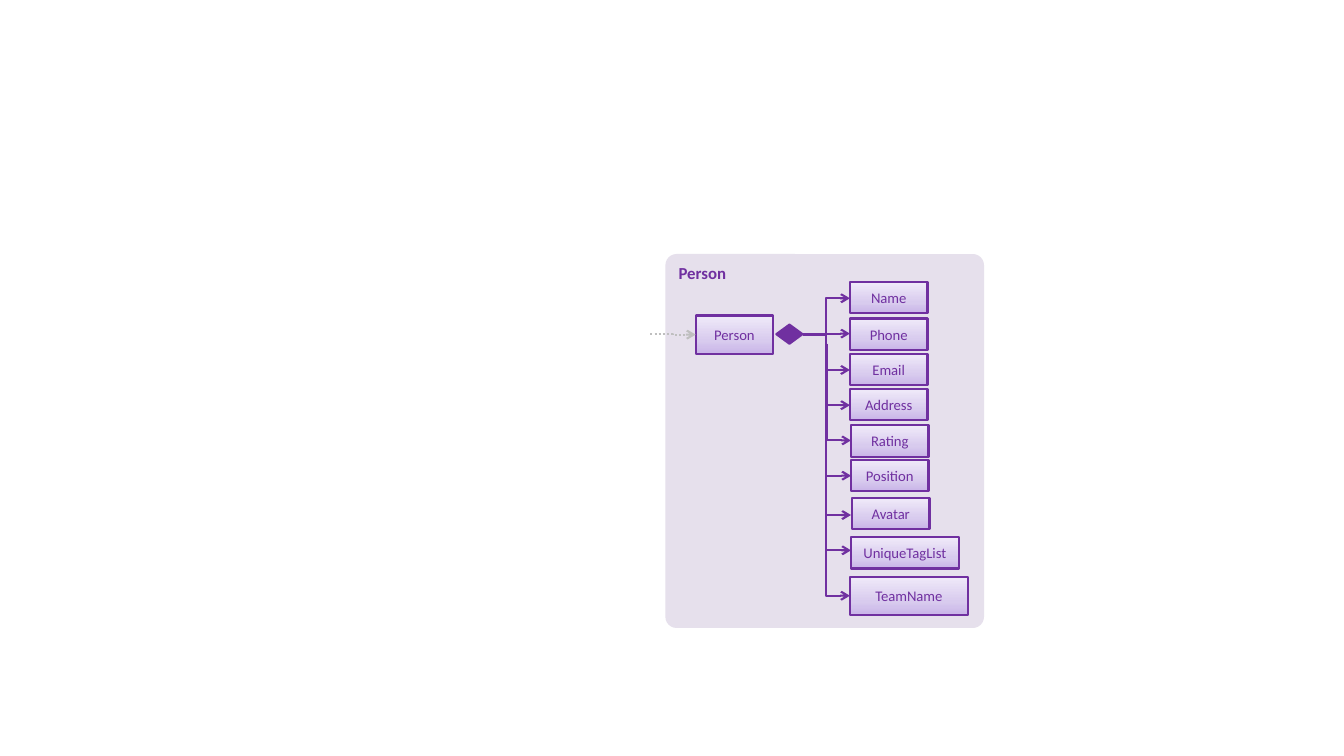
"""Build the class diagram of Person and its attributes."""
from copy import deepcopy
from dataclasses import dataclass

from pptx import Presentation
from pptx.dml.color import RGBColor
from pptx.enum.dml import MSO_LINE
from pptx.enum.shapes import MSO_CONNECTOR as CONN, MSO_SHAPE as SHAPE
from pptx.enum.text import MSO_ANCHOR as ANCHOR, PP_ALIGN as ALIGN
from pptx.oxml.ns import qn
from pptx.shapes.autoshape import Shape
from pptx.shapes.connector import Connector
from pptx.slide import Slide
from pptx.util import Inches, Pt

PURPLE, GREY, PANEL = "7030A0", "BFBFBF", "E6E0EC"
GRADIENT = [(0, "C9B5E8"), (0.35, "D8CBEE"), (1, "F0EAF9")]
HUB_X, HUB_Y = 7.96, 3.32


@dataclass
class Box:
    text: str
    x: float
    y: float
    w: float = 0.77
    h: float = 0.31


@dataclass
class Arrow:
    x1: float
    y1: float
    x2: float
    y2: float
    corner: bool = False
    color: str = PURPLE


PERSON = Box("Person", 6.9, 3.13, h=0.38)
ATTRIBUTES = [
    Box("Name", 8.43, 2.8),
    Box("Phone", 8.43, 3.16),
    Box("Email", 8.43, 3.51),
    Box("Address", 8.43, 3.86),
    Box("Rating", 8.44, 4.22),
    Box("Position", 8.44, 4.56),
    Box("Avatar", 8.45, 4.94),
    Box("TeamName", 8.43, 5.72, 1.17, 0.38),
    Box("UniqueTagList", 8.44, 5.33, 1.07),
]
ARROWS = [Arrow(6.45, 3.31, 6.9, 3.32, color=GREY)]
ARROWS += [Arrow(HUB_X, HUB_Y, 8.43, y) for y in (2.96, 3.31, 3.67, 4.02)]
ARROWS += [
    Arrow(8.2, 3.41, 8.44, 4.37, True),
    Arrow(8.19, 3.76, 8.44, 4.72, True),
    Arrow(8.19, 4.15, 8.44, 5.11, True),
    Arrow(8.19, 4.66, 8.43, 5.91, True),
    Arrow(8.19, 4.5, 8.44, 5.46, True),
]


def rgb(color: str) -> RGBColor:
    return RGBColor.from_string(color)


def add_shape(s: Slide, kind: SHAPE, box: Box) -> Shape:
    sp = s.shapes.add_shape(kind, Inches(box.x), Inches(box.y), Inches(box.w), Inches(box.h))
    sp.shadow.inherit = False
    return sp


def outline(sp: Shape | Connector, color: str) -> None:
    sp.line.color.rgb = rgb(color)
    sp.line.width = Pt(1.5)


def write(sp: Shape, text: str, size: float, bold: bool, align: ALIGN, anchor: ANCHOR) -> None:
    tf = sp.text_frame
    tf.word_wrap = True
    tf.vertical_anchor = anchor
    p = tf.paragraphs[0]
    p.alignment = align
    r = p.add_run()
    r.text = text
    r.font.name = "Calibri"
    r.font.size = Pt(size)
    r.font.bold = bold
    r.font.color.rgb = rgb(PURPLE)


def add_panel(s: Slide) -> None:
    sp = add_shape(s, SHAPE.ROUNDED_RECTANGLE, Box("Person", 6.6, 2.52, 3.16, 3.71))
    sp.adjustments[0] = 0.035
    sp.fill.solid()
    sp.fill.fore_color.rgb = rgb(PANEL)
    sp.line.fill.background()
    write(sp, "Person", 12, True, ALIGN.LEFT, ANCHOR.TOP)


def add_box(s: Slide, box: Box) -> None:
    sp = add_shape(s, SHAPE.RECTANGLE, box)
    sp.fill.gradient()
    sp.fill.gradient_angle = 90
    stops = sp.element.spPr.find(qn("a:gradFill")).find(qn("a:gsLst"))
    stops.append(deepcopy(stops[0]))
    for stop, (position, color) in zip(sp.fill.gradient_stops, GRADIENT):
        stop.position = position
        stop.color.rgb = rgb(color)
    outline(sp, PURPLE)
    write(sp, box.text, 10.5, False, ALIGN.CENTER, ANCHOR.MIDDLE)


def add_diamond(s: Slide) -> None:
    sp = add_shape(s, SHAPE.FLOWCHART_DECISION, Box("", 7.7, 3.22, 0.26, 0.19))
    sp.fill.solid()
    sp.fill.fore_color.rgb = rgb(PURPLE)
    outline(sp, PURPLE)


def add_arrow(s: Slide, a: Arrow) -> None:
    x1, y1, x2, y2 = a.x1, a.y1, a.x2, a.y2
    if a.corner:
        cx, cy = (x1 + x2) / 2, (y1 + y2) / 2
        half_w, half_h = (y2 - y1) / 2, (x2 - x1) / 2
        x1, y1, x2, y2 = cx + half_w, cy - half_h, cx - half_w, cy + half_h
    cn = s.shapes.add_connector(CONN.ELBOW, Inches(x1), Inches(y1), Inches(x2), Inches(y2))
    spPr = cn.element.spPr
    if a.corner:
        spPr.find(qn("a:xfrm")).set("rot", "16200000")
        spPr.find(qn("a:prstGeom")).set("prst", "bentConnector2")
    outline(cn, a.color)
    if a.color == GREY:
        cn.line.dash_style = MSO_LINE.ROUND_DOT
    ln = spPr.find(qn("a:ln"))
    ln.append(ln.makeelement(qn("a:tailEnd"), {"type": "arrow"}))
    spPr.append(spPr.makeelement(qn("a:effectLst"), {}))


def main() -> None:
    prs = Presentation()
    prs.slide_width, prs.slide_height = Inches(13.33), Inches(7.5)
    s = prs.slides.add_slide(prs.slide_layouts[6])
    add_panel(s)
    for box in [PERSON, *ATTRIBUTES]:
        add_box(s, box)
    add_diamond(s)
    for arrow in ARROWS:
        add_arrow(s, arrow)
    prs.save("out.pptx")


if __name__ == "__main__":
    main()
